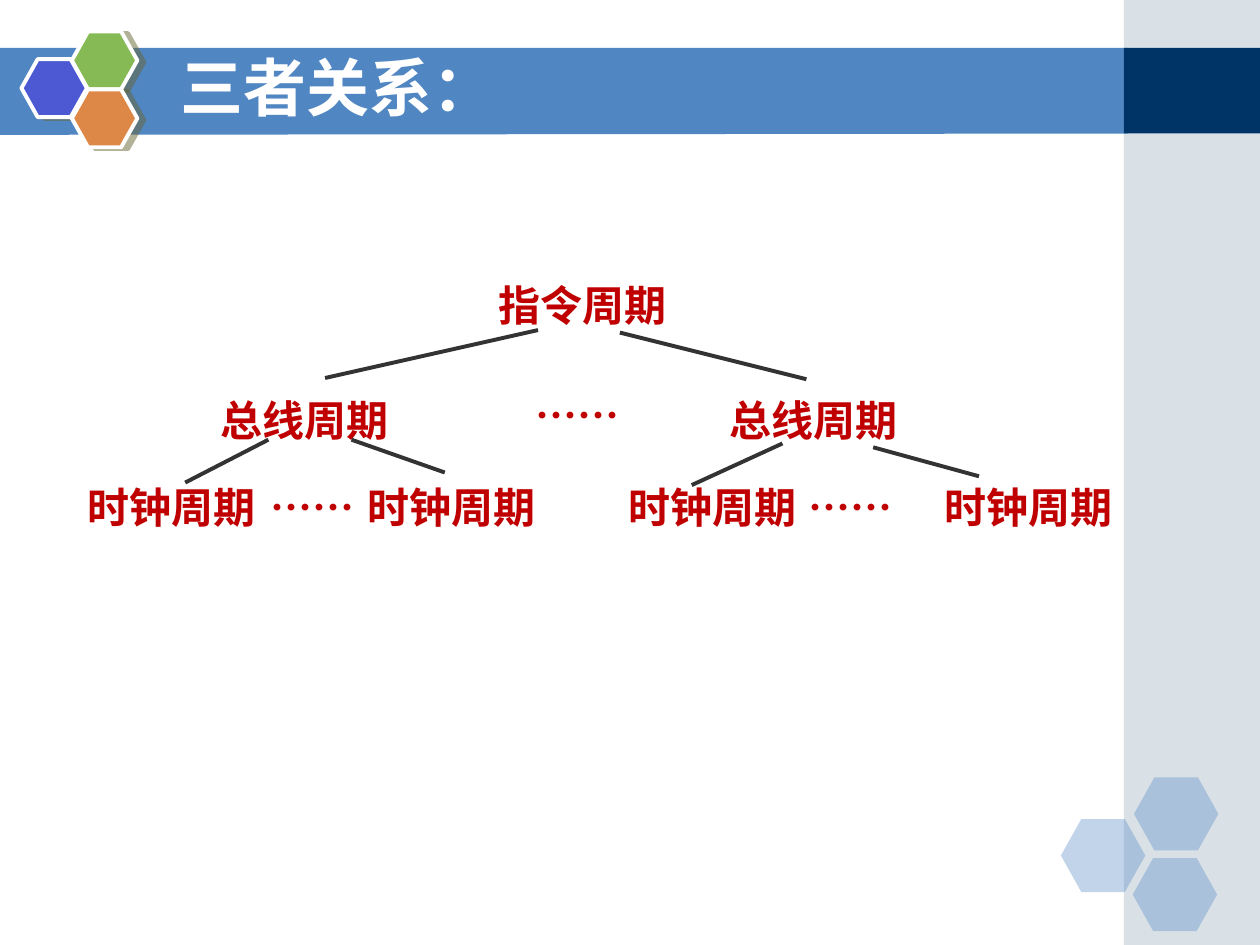
from lxml.etree import SubElement
from pptx import Presentation
from pptx.dml.color import RGBColor
from pptx.enum.shapes import MSO_CONNECTOR, MSO_SHAPE
from pptx.enum.text import MSO_ANCHOR, MSO_AUTO_SIZE, PP_ALIGN
from pptx.oxml.ns import qn
from pptx.util import Inches, Pt

COLOURS = {
    "band": "5086C2", "side": "A0B5C4", "corner": "003366",
    "blue": "4C59D2", "green": "85BA54", "orange": "DE8848",
    "shadow": "666633", "white": "FFFFFF", "term": "C00000", "branch": "333333",
}
FONT = "Noto Sans CJK SC"
SLIDE_WIDTH, SLIDE_HEIGHT = Inches(10), Inches(7.5)
COLUMNS = 100
TERM_WIDTH, DOTS_WIDTH, TERM_HEIGHT = 15.3, 8.6, 5
ROOT_ROW, BUS_ROW, DOTS_ROW, CLOCK_ROW = 21.7, 30.8, 30.4, 37.7

TERMS = [
    ("指令周期", [(38.6, ROOT_ROW)]),
    ("总线周期", [(16.5, BUS_ROW), (56.9, BUS_ROW)]),
    ("时钟周期", [(column, CLOCK_ROW) for column in (6, 28.2, 48.9, 74)]),
    ("……", [(41.5, DOTS_ROW), (20.5, CLOCK_ROW), (63.2, CLOCK_ROW)]),
]
BRANCHES = [
    (42.7, 26.2, 25.8, 30), (49.2, 26.4, 64, 30.1),
    (21.3, 34.9, 14.7, 38.3), (27.9, 34.9, 35.3, 37.5),
    (62.1, 35.2, 54.9, 38.5), (69.3, 35.5, 77.7, 37.8),
]


def grid(*cells):
    """Turn counts of square grid cells into slide lengths."""
    return [round(SLIDE_WIDTH * cell / COLUMNS) for cell in cells]


def colour(name):
    """Look up a named colour."""
    return RGBColor.from_string(COLOURS[name])


def style_paragraph(paragraph, size, colour_name):
    """Set one bold font for Latin and East Asian text."""
    font = paragraph.font
    font.name, font.size, font.bold = FONT, Pt(size), True
    font.color.rgb = colour(colour_name)
    properties = paragraph._p.get_or_add_pPr().find(qn("a:defRPr"))
    SubElement(properties, qn("a:ea"), typeface=FONT)
    for run in paragraph.runs:
        SubElement(run._r.get_or_add_rPr(), qn("a:ea"), typeface=FONT)


def fill_shape(shape, colour_name, opacity=100):
    """Give a shape a plain fill with no line or shadow."""
    shape.shadow.inherit = False
    shape.fill.solid()
    shape.fill.fore_color.rgb = colour(colour_name)
    shape.line.fill.background()
    if opacity < 100:
        tint = shape._element.spPr.find(qn("a:solidFill"))[0]
        SubElement(tint, qn("a:alpha"), val=str(opacity * 1000))


def add_panel(slide, box, colour_name, opacity=100):
    """Add a filled rectangle."""
    shape = slide.shapes.add_shape(MSO_SHAPE.RECTANGLE, *grid(*box))
    fill_shape(shape, colour_name, opacity)


def add_band(slide):
    """Add the title band, whose lower edge slopes slightly."""
    points = [grid(*point) for point in
              ((-0.1, 3.8), (89.5, 3.8), (89.5, 10.6), (-0.1, 10.7))]
    builder = slide.shapes.build_freeform(*points[0])
    builder.add_line_segments(points[1:], close=True)
    fill_shape(builder.convert_to_shape(), "band")


def add_hexagon(slide, box, colour_name, opacity=100):
    """Add a regular hexagon and return it."""
    shape = slide.shapes.add_shape(MSO_SHAPE.HEXAGON, *grid(*box))
    shape.adjustments[0] = 0.28
    fill_shape(shape, colour_name, opacity)
    return shape


def add_badge(slide, column, row, colour_name):
    """Add a white-edged hexagon with a hard shadow."""
    shape = add_hexagon(slide, (column, row, 5.2, 4.6), colour_name)
    shape.line.color.rgb = colour("white")
    shape.line.width = Pt(2.25)
    effects = shape._element.spPr.find(qn("a:effectLst"))
    shadow = SubElement(effects, qn("a:outerShdw"), blurRad="0",
                        dist=str(Pt(4.1)), dir=str(14 * 60000),
                        algn="ctr", rotWithShape="0")
    tint = SubElement(shadow, qn("a:srgbClr"), val=COLOURS["shadow"])
    SubElement(tint, qn("a:alpha"), val="50000")


def add_title(slide, text):
    """Place the title on top of the band."""
    title = slide.shapes.title
    slide.shapes._spTree.append(title._element)
    title.left, title.top, title.width, title.height = grid(12.2, 2.1, 70.8, 9.5)
    frame = title.text_frame
    frame.text = text
    frame.margin_left = Inches(0.21)
    frame.vertical_anchor = MSO_ANCHOR.MIDDLE
    frame.auto_size = MSO_AUTO_SIZE.NONE
    frame.paragraphs[0].alignment = PP_ALIGN.LEFT
    style_paragraph(frame.paragraphs[0], 36, "white")


def add_term(slide, text, column, row):
    """Add one label of the tree, with spare room on its right."""
    width = DOTS_WIDTH if text == "……" else TERM_WIDTH
    frame = slide.shapes.add_textbox(
        *grid(column, row, width, TERM_HEIGHT)).text_frame
    frame.word_wrap = True
    frame.margin_right = 0
    frame.auto_size = MSO_AUTO_SIZE.SHAPE_TO_FIT_TEXT
    frame.text = text
    style_paragraph(frame.paragraphs[0], 24, "term")


def add_branch(slide, ends):
    """Add one line of the tree."""
    line = slide.shapes.add_connector(MSO_CONNECTOR.STRAIGHT, *grid(*ends))
    line.line.color.rgb = colour("branch")
    line.line.width = Pt(2.25)
    SubElement(line._element.spPr, qn("a:effectLst"))


def main():
    """Build the slide and save it."""
    presentation = Presentation()
    presentation.slide_width = SLIDE_WIDTH
    presentation.slide_height = SLIDE_HEIGHT
    slide = presentation.slides.add_slide(presentation.slide_layouts[5])
    add_band(slide)
    add_panel(slide, (89.2, 0, 10.8, 75), "side", 40)
    add_panel(slide, (89.2, 3.8, 10.8, 6.8), "corner")
    for column, row in ((84.2, 65), (90, 61.7), (89.9, 68.1)):
        add_hexagon(slide, (column, row, 6.7, 5.8), "band", 35)
    for column, row, name in ((1.7, 4.7, "blue"), (5.7, 2.5, "green"),
                              (5.7, 7.1, "orange")):
        add_badge(slide, column, row, name)
    add_title(slide, "三者关系：")
    for text, places in TERMS:
        for column, row in places:
            add_term(slide, text, column, row)
    for ends in BRANCHES:
        add_branch(slide, ends)
    presentation.save("out.pptx")


if __name__ == "__main__":
    main()
